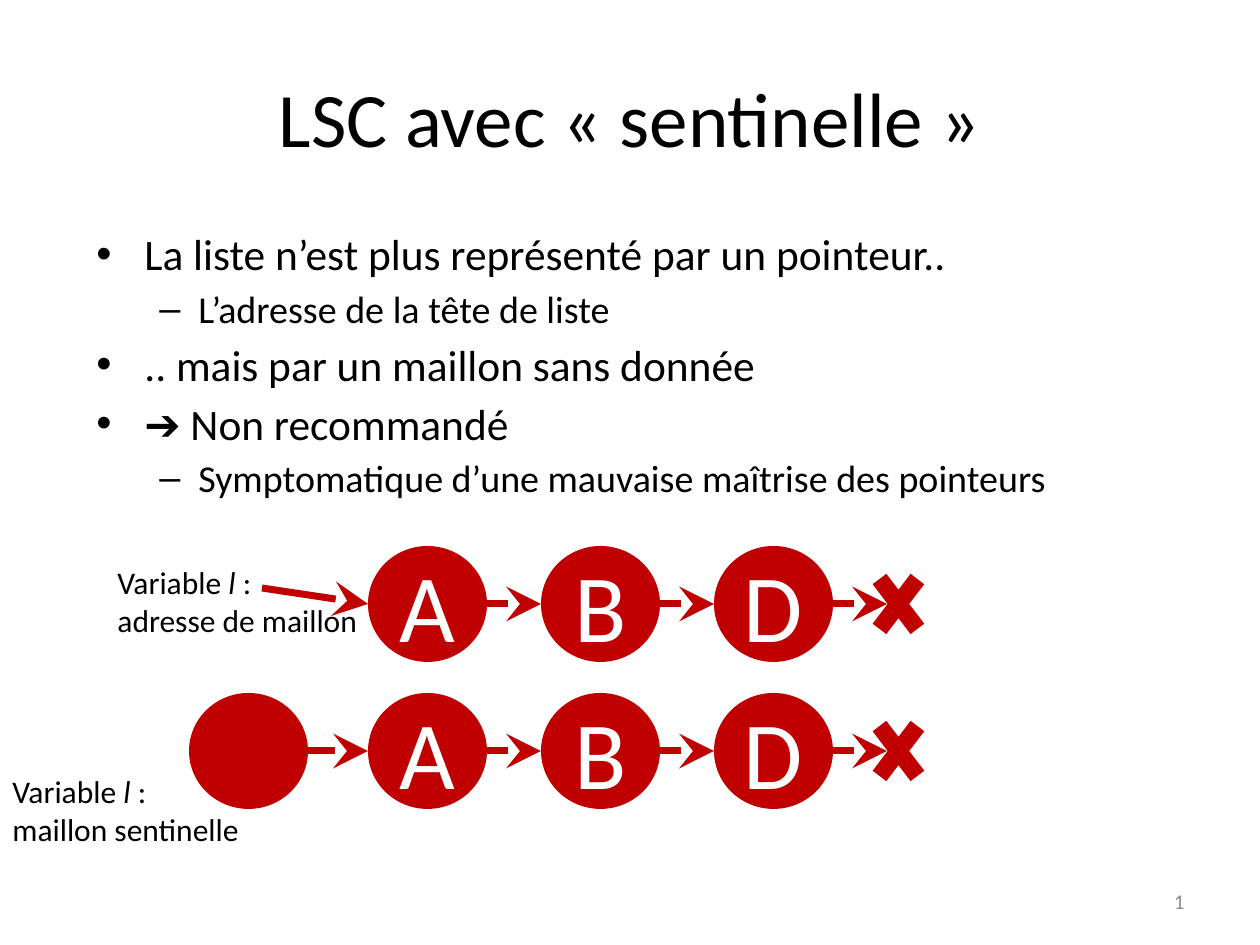
import lxml.etree
import pptx
import pptx.dml.color
import pptx.enum.shapes
import pptx.enum.text
import pptx.oxml.ns
import pptx.util

SCALE = 914400 / 126  # EMU in one px
FONT = "Calibri"
BLACK = pptx.dml.color.RGBColor(0x00, 0x00, 0x00)
WHITE = pptx.dml.color.RGBColor(0xFF, 0xFF, 0xFF)
GREY = pptx.dml.color.RGBColor(0x8C, 0x8C, 0x8C)
RED = pptx.dml.color.RGBColor(0xC0, 0x00, 0x00)

SHAPES = pptx.enum.shapes.MSO_SHAPE
ALIGN = pptx.enum.text.PP_ALIGN
ANCHOR = pptx.enum.text.MSO_ANCHOR

# Linked lists
NODE_WIDTH, NODE_HEIGHT = 119, 116
FIRST_NODE, NODE_STEP = 368, 173
ARROW_LENGTH = 54
SENTINEL_LEFT = 189
POINTER_ROW, SENTINEL_ROW = 546, 693

# Bullet levels: character, text size, left margin and hanging indent in px
LEVELS = [
    {"bullet": "•", "size": 24.8, "margin": 48, "indent": -48},
    {"bullet": "–", "size": 21.7, "margin": 102, "indent": -39},
]
BULLETS = [
    (0, "La liste n’est plus représenté par un pointeur.."),
    (1, "L’adresse de la tête de liste"),
    (0, ".. mais par un maillon sans donnée"),
    (0, "➔ Non recommandé"),
    (1, "Symptomatique d’une mauvaise maîtrise des pointeurs"),
]


def px(length):
    return pptx.util.Emu(round(length * SCALE))


def add_run(paragraph, text, size, color=BLACK, italic=False):
    run = paragraph.add_run()
    run.text = text
    formats = {"name": FONT, "size": pptx.util.Pt(size), "italic": italic}
    for name, value in formats.items():
        setattr(run.font, name, value)
    run.font.color.rgb = color


def add_text_box(slide, box, wrap=True, anchor=ANCHOR.TOP):
    frame = slide.shapes.add_textbox(*map(px, box)).text_frame
    frame.word_wrap = wrap
    frame.vertical_anchor = anchor
    return frame


def add_line_of_text(slide, box, text, size, color, alignment):
    paragraph = add_text_box(slide, box, anchor=ANCHOR.MIDDLE).paragraphs[0]
    paragraph.alignment = alignment
    add_run(paragraph, text, size, color)


def add_bullets(slide, box):
    frame = add_text_box(slide, box)
    for index, (level, text) in enumerate(BULLETS):
        style = LEVELS[level]
        paragraph = frame.add_paragraph() if index else frame.paragraphs[0]
        paragraph.level = level
        paragraph.space_before = pptx.util.Pt(style["size"] * 0.16)
        add_run(paragraph, text, style["size"])
        properties = paragraph._p.get_or_add_pPr()
        properties.set("marL", str(px(style["margin"])))
        properties.set("indent", str(px(style["indent"])))
        for tag, name, value in (("a:buFont", "typeface", "Arial"),
                                 ("a:buChar", "char", style["bullet"])):
            lxml.etree.SubElement(properties, pptx.oxml.ns.qn(tag)).set(name, value)


def add_caption(slide, box, description):
    frame = add_text_box(slide, box, wrap=False)
    for text, italic in (("Variable ", False), ("l", True), (" :", False)):
        add_run(frame.paragraphs[0], text, 18, italic=italic)
    add_run(frame.add_paragraph(), description, 18)


def add_red_shape(shapes, kind, box):
    shape = shapes.add_shape(kind, *map(px, box))
    shape.shadow.inherit = False
    shape.fill.solid()
    shape.fill.fore_color.rgb = RED
    shape.line.fill.background()
    return shape


def add_arrow(shapes, *ends):
    arrow = shapes.add_connector(
        pptx.enum.shapes.MSO_CONNECTOR.STRAIGHT, *map(px, ends))
    arrow.line.color.rgb = RED
    arrow.line.width = pptx.util.Pt(4)
    properties = arrow._element.spPr
    line = properties.find(pptx.oxml.ns.qn("a:ln"))
    head = lxml.etree.SubElement(line, pptx.oxml.ns.qn("a:tailEnd"))
    for name, value in {"type": "stealth", "w": "lg", "len": "lg"}.items():
        head.set(name, value)
    lxml.etree.SubElement(properties, pptx.oxml.ns.qn("a:effectLst"))


def add_node(slide, left, top, letter="", arrow_length=ARROW_LENGTH):
    """A round node grouped with the arrow to its successor."""
    group = slide.shapes.add_group_shape()
    node = add_red_shape(group.shapes, SHAPES.OVAL,
                         (left, top, NODE_WIDTH, NODE_HEIGHT))
    if letter:
        node.text_frame.word_wrap = False
        node.text_frame.vertical_anchor = ANCHOR.MIDDLE
        paragraph = node.text_frame.paragraphs[0]
        paragraph.alignment = ALIGN.CENTER
        add_run(paragraph, letter, 55, WHITE)
    right, middle = left + NODE_WIDTH, top + NODE_HEIGHT / 2
    add_arrow(group.shapes, right, middle, right + arrow_length, middle)


def add_list(slide, top):
    for index, letter in enumerate("ABD"):
        add_node(slide, FIRST_NODE + index * NODE_STEP, top, letter)
    # End of list
    add_red_shape(slide.shapes, SHAPES.MATH_MULTIPLY, (862, top + 10, 73, 96))


def main():
    presentation = pptx.Presentation()
    presentation.slide_width = px(1260)
    presentation.slide_height = px(945)
    slide = presentation.slides.add_slide(presentation.slide_layouts[6])

    # Title, page number and body
    add_line_of_text(slide, (63, 38, 1134, 157), "LSC avec «\u00a0sentinelle\u00a0»",
                     44, BLACK, ALIGN.CENTER)
    add_line_of_text(slide, (903, 876, 294, 50), "1", 12, GREY, ALIGN.RIGHT)
    add_bullets(slide, (84, 221, 1124, 262))

    # List reached through a pointer
    add_list(slide, POINTER_ROW)
    add_arrow(slide.shapes, 262, 588, FIRST_NODE, POINTER_ROW + NODE_HEIGHT / 2)
    add_caption(slide, (105, 557, 273, 89), "adresse de maillon")

    # List starting with a sentinel node
    add_list(slide, SENTINEL_ROW)
    add_node(slide, SENTINEL_LEFT, SENTINEL_ROW,
             arrow_length=FIRST_NODE - SENTINEL_LEFT - NODE_WIDTH)
    add_caption(slide, (0, 766, 273, 89), "maillon sentinelle")

    presentation.save("out.pptx")


if __name__ == "__main__":
    main()
